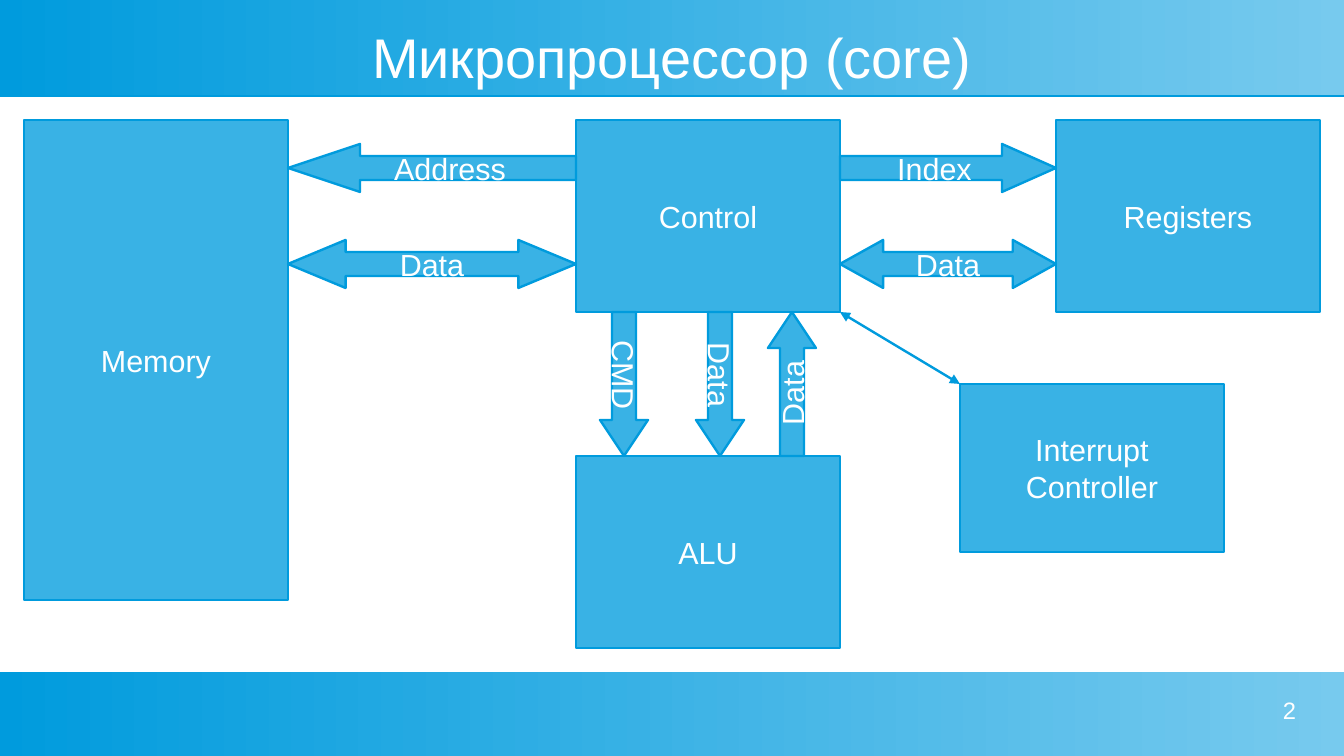
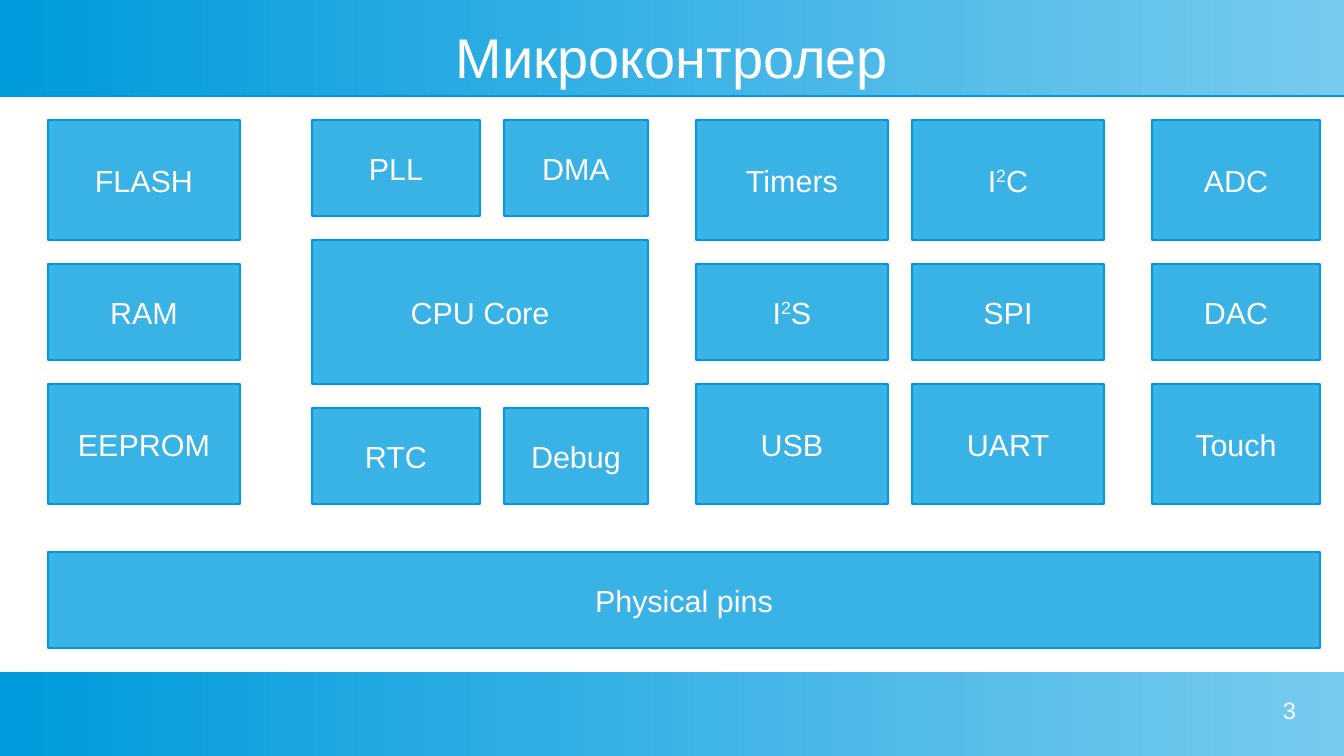
from typing import NamedTuple

from lxml import etree
from pptx import Presentation
from pptx import util as u
from pptx.dml.color import RGBColor
from pptx.enum import shapes, text
from pptx.oxml import ns

STEP = 0.5 / 2.54  # every place is counted in half-centimetre grid steps
SLIDE_W, SLIDE_H = 56, 31.5
HEADER_H, FOOTER_TOP = 4, 28
DEEP, MID, PALE, WHITE = "009BDD", "39B2E5", "77CAEE", "FFFFFF"
FONT = "Arial"
LINE_PT = 1.42
KIND = shapes.MSO_SHAPE
ALIGN = text.PP_ALIGN


class Block(NamedTuple):
    label: str
    left: float
    top: float
    width: float
    height: float


class Arrow(NamedTuple):
    """A block arrow around its middle; head is the head's share of the length."""
    label: str
    kind: shapes.MSO_SHAPE
    centre_x: float
    centre_y: float
    length: float
    head: float = 0.25
    rotation: float = 0


ARROW_H = 2
BOTH_HEADS = 0.2

CORE_BLOCKS = [
    Block("Memory", 1, 5, 11, 20),
    Block("Control", 24, 5, 11, 8),
    Block("Registers", 44, 5, 11, 8),
    Block("ALU", 24, 19, 11, 8),
    Block("Interrupt\nController", 40, 16, 11, 7),
]
CORE_ARROWS = [
    Arrow("Address", KIND.LEFT_ARROW, 18, 7, 12),
    Arrow("Data", KIND.LEFT_RIGHT_ARROW, 18, 11, 12, BOTH_HEADS),
    Arrow("Index", KIND.RIGHT_ARROW, 39.5, 7, 9),
    Arrow("Data", KIND.LEFT_RIGHT_ARROW, 39.5, 11, 9, BOTH_HEADS),
    Arrow("CMD", KIND.RIGHT_ARROW, 26, 16, 6, rotation=90),
    Arrow("Data", KIND.RIGHT_ARROW, 30, 16, 6, rotation=90),
    Arrow("Data", KIND.RIGHT_ARROW, 33, 16, 6, rotation=270),
]

ROWS = [(5, 5), (11, 4), (16, 5)]  # top, height
COLUMNS = [  # left, width, labels; ^ encloses a superscript
    (2, 8, ["FLASH", "RAM", "EEPROM"]),
    (29, 8, ["Timers", "I^2^S", "USB"]),
    (38, 8, ["I^2^C", "SPI", "UART"]),
    (48, 7, ["ADC", "DAC", "Touch"]),
]
CENTRE_BLOCKS = [
    Block("PLL", 13, 5, 7, 4),
    Block("DMA", 21, 5, 6, 4),
    Block("CPU Core", 13, 10, 14, 6),
    Block("RTC", 13, 17, 7, 4),
    Block("Debug", 21, 17, 6, 4),
    Block("Physical pins", 2, 23, 53, 4),
]


def grid(*steps: float) -> list[u.Length]:
    return [u.Inches(step * STEP) for step in steps]


def colour(hex_string: str) -> RGBColor:
    return RGBColor.from_string(hex_string)


def write(frame, words: str, size: float, align: ALIGN) -> None:
    """Fill the frame, one paragraph a line, raising what stands between ^ marks."""
    for index, line in enumerate(words.split("\n")):
        paragraph = frame.paragraphs[0] if index == 0 else frame.add_paragraph()
        paragraph.alignment = align
        for part_index, part in enumerate(line.split("^")):
            run = paragraph.add_run()
            run.text = part
            run.font.name = FONT
            run.font.size = u.Pt(size)
            run.font.color.rgb = colour(WHITE)
            if part_index % 2:
                run._r.get_or_add_rPr().set("baseline", "33000")


def add_plain_text(slide, words: str, place: tuple, size: float, align: ALIGN,
                   anchor: text.MSO_ANCHOR) -> None:
    frame = slide.shapes.add_textbox(*grid(*place)).text_frame
    frame.word_wrap = True
    frame.vertical_anchor = anchor
    frame.margin_left = frame.margin_right = frame.margin_top = frame.margin_bottom = 0
    write(frame, words, size, align)


def add_line(slide, start: tuple, end: tuple, width: float, heads: bool = False) -> None:
    connector = slide.shapes.add_connector(
        shapes.MSO_CONNECTOR.STRAIGHT, *grid(*start, *end))
    connector.line.color.rgb = colour(DEEP)
    connector.line.width = u.Pt(width)
    if heads:
        outline = connector.line._get_or_add_ln()
        for tag in ("a:headEnd", "a:tailEnd"):
            etree.SubElement(outline, ns.qn(tag), type="triangle")
    etree.SubElement(connector._element.spPr, ns.qn("a:effectLst"))


def add_band(slide, top: float, height: float) -> None:
    band = slide.shapes.add_shape(KIND.RECTANGLE, *grid(0, top, SLIDE_W, height))
    band.shadow.inherit = False
    band.line.fill.background()
    band.fill.gradient()
    band.fill.gradient_angle = 0
    for stop, shade in zip(band.fill.gradient_stops, (DEEP, PALE)):
        stop.color.rgb = colour(shade)


def add_labelled(slide, kind: KIND, block: Block):
    shape = slide.shapes.add_shape(kind, *grid(*block[1:]))
    shape.shadow.inherit = False
    shape.fill.solid()
    shape.fill.fore_color.rgb = colour(MID)
    shape.line.color.rgb = colour(DEEP)
    shape.line.width = u.Pt(LINE_PT)
    shape.text_frame.word_wrap = False
    shape.text_frame.vertical_anchor = text.MSO_ANCHOR.MIDDLE
    write(shape.text_frame, block.label, 18, ALIGN.CENTER)
    return shape


def add_arrow(slide, arrow: Arrow) -> None:
    bounds = Block(arrow.label, arrow.centre_x - arrow.length / 2,
                   arrow.centre_y - ARROW_H / 2, arrow.length, ARROW_H)
    shape = add_labelled(slide, arrow.kind, bounds)
    shape.adjustments[0] = 0.5
    shape.adjustments[1] = arrow.head * arrow.length / ARROW_H
    shape.rotation = arrow.rotation


def add_framed_slide(deck, title: str, number: int):
    """Add a slide with both bands, its title and its number."""
    slide = deck.slides.add_slide(deck.slide_layouts[6])
    add_band(slide, 0, HEADER_H)
    add_band(slide, FOOTER_TOP, SLIDE_H - FOOTER_TOP)
    add_line(slide, (0, HEADER_H), (SLIDE_W, HEADER_H), 0.9)
    add_plain_text(slide, title, (2, 1, 52, 2.64), 33, ALIGN.CENTER,
                   text.MSO_ANCHOR.MIDDLE)
    add_plain_text(slide, str(number), (41, 29, 13, 2), 14, ALIGN.RIGHT,
                   text.MSO_ANCHOR.TOP)
    return slide


def build_core(deck) -> None:
    slide = add_framed_slide(deck, "Микропроцессор (core)", 2)
    for block in CORE_BLOCKS:
        add_labelled(slide, KIND.RECTANGLE, block)
    for arrow in CORE_ARROWS:
        add_arrow(slide, arrow)
    add_line(slide, (35, 13), (40, 16), LINE_PT, heads=True)


def build_microcontroller(deck) -> None:
    slide = add_framed_slide(deck, "Микроконтролер", 3)
    peripherals = [Block(label, left, top, width, height)
                   for left, width, labels in COLUMNS
                   for label, (top, height) in zip(labels, ROWS)]
    for block in peripherals + CENTRE_BLOCKS:
        add_labelled(slide, KIND.RECTANGLE, block)


def main() -> None:
    deck = Presentation()
    deck.slide_width, deck.slide_height = grid(SLIDE_W, SLIDE_H)
    build_core(deck)
    build_microcontroller(deck)
    deck.save("out.pptx")


if __name__ == "__main__":
    main()
